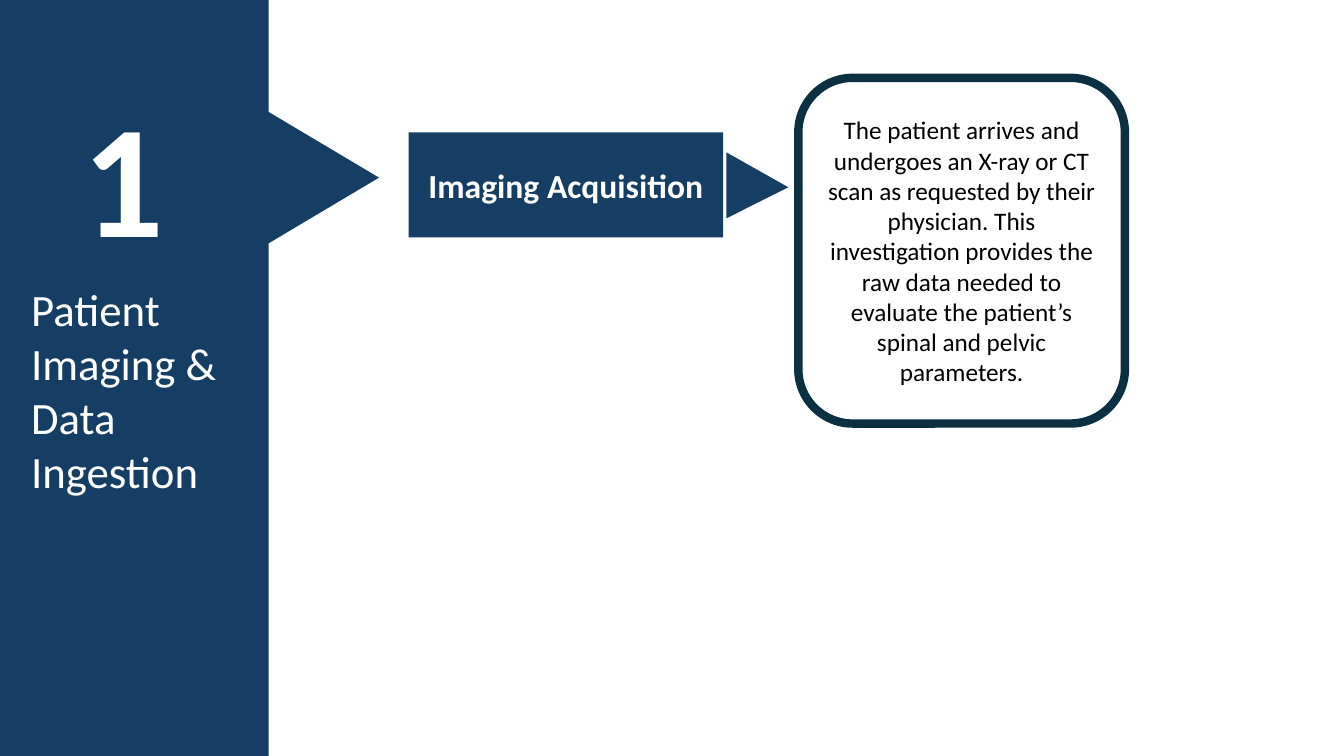
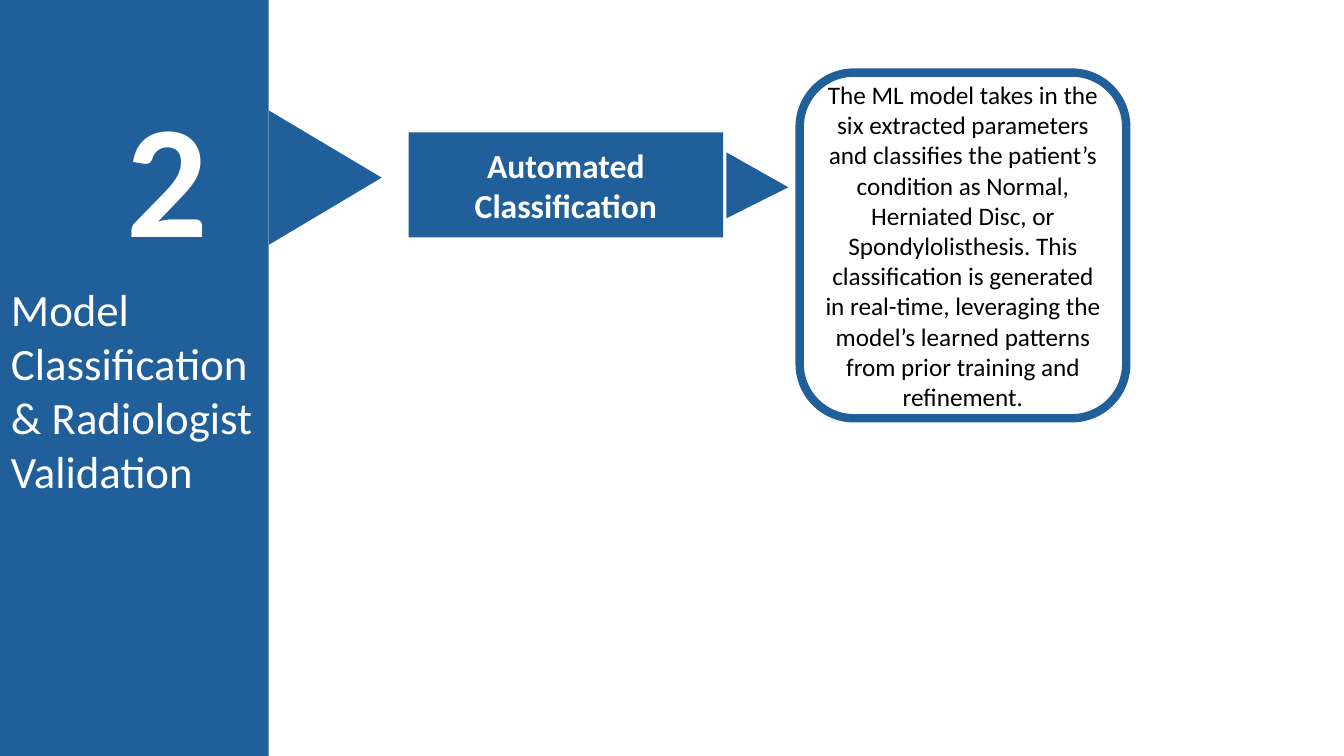
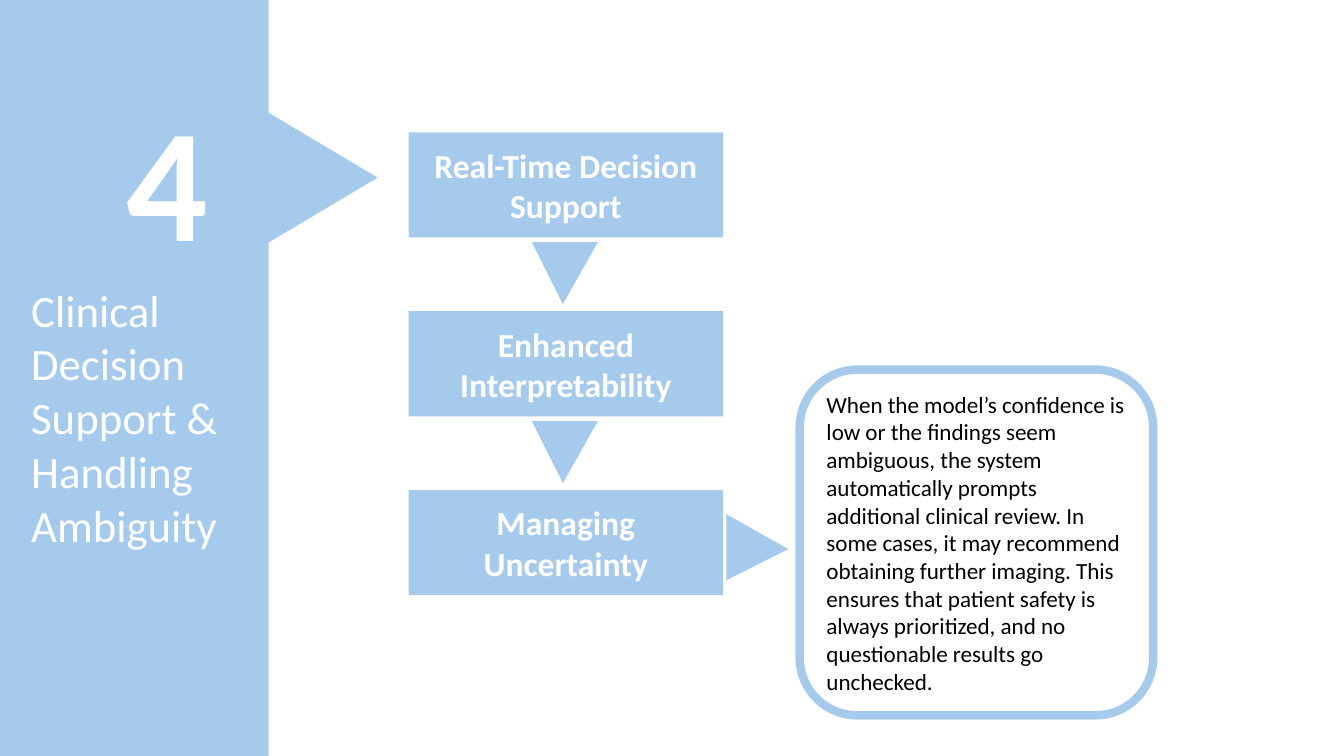
from typing import NamedTuple

from pptx import Presentation
from pptx.dml.color import RGBColor
from pptx.enum.shapes import MSO_SHAPE
from pptx.enum.text import MSO_ANCHOR, MSO_AUTO_SIZE, PP_ALIGN
from pptx.util import Inches, Pt

RECTANGLE = MSO_SHAPE.RECTANGLE
ROUNDED = MSO_SHAPE.ROUNDED_RECTANGLE
TRIANGLE = MSO_SHAPE.ISOSCELES_TRIANGLE
MIDDLE = MSO_ANCHOR.MIDDLE
GROW = MSO_AUTO_SIZE.SHAPE_TO_FIT_TEXT
LEFT, CENTER = PP_ALIGN.LEFT, PP_ALIGN.CENTER

FONT = "Calibri"
COLORS = {
    "navy": "163E64",
    "ink": "0B3041",
    "blue": "215F9A",
    "sky": "A6CAEC",
    "white": "FFFFFF",
    "black": "000000",
}
POINT_RIGHT, POINT_DOWN = 90, 180
POINTER_APEX = 0.53
STEP_PITCH = 23.67


class Box(NamedTuple):
    left: float
    top: float
    width: float
    height: float


def within(box, x, y, width=0, height=0):
    return Box(
        box.left + box.width * x / 100,
        box.top + box.height * y / 100,
        box.width * width / 100,
        box.height * height / 100,
    )


def emu(box):
    return [round(length) for length in box]


PAGE = Box(0, 0, Inches(13.33), Inches(7.5))

STAGES = [
    {
        "number": "1", "number_at": (27, 9.5),
        "title": "Patient Imaging & Data Ingestion", "title_at": (7.9, 84, 30.1),
        "color": "navy", "tip": 120,
        "steps": ["Imaging Acquisition"], "pointer_y": 50.5,
        "note": "The patient arrives and undergoes an X-ray or CT scan as requested by "
                "their physician. This investigation provides the raw data needed to "
                "evaluate the patient’s spinal and pelvic parameters.",
        "note_at": (59.4, 10.3, 24.3), "note_line": "ink",
        "note_size": 18, "note_align": CENTER,
    },
    {
        "number": "2", "number_at": (43.5, 9.5),
        "title": "Model Classification & Radiologist Validation",
        "title_at": (0.4, 100.5, 30.1),
        "color": "blue", "tip": 121,
        "steps": ["Automated Classification"], "pointer_y": 50.5,
        "note": "The ML model takes in the six extracted parameters and classifies the "
                "patient’s condition as Normal, Herniated Disc, or Spondylolisthesis. "
                "This classification is generated in real-time, leveraging the model’s "
                "learned patterns from prior training and refinement.",
        "note_at": (59.5, 9.6, 24.3), "note_line": "blue",
        "note_size": 18, "note_align": CENTER,
    },
    {
        "number": "4", "number_at": (43.5, 10),
        "title": "Clinical Decision Support & Handling Ambiguity",
        "title_at": (7.9, 84.4, 37.2),
        "color": "sky", "tip": 119.5,
        "steps": ["Real-Time Decision Support", "Enhanced Interpretability",
                  "Managing Uncertainty"],
        "pointer_y": 54.3,
        "note": "When the model’s confidence is low or the findings seem ambiguous, the "
                "system automatically prompts additional clinical review. In some cases, "
                "it may recommend obtaining further imaging. This ensures that patient "
                "safety is always prioritized, and no questionable results go unchecked.",
        "note_at": (59.5, 48.9, 26.3), "note_line": "sky",
        "note_size": 16.5, "note_align": LEFT,
    },
]


def rgb(color):
    return RGBColor.from_string(COLORS[color])


def write(frame, text, size, color="white", bold=False, align=LEFT):
    frame.word_wrap = True
    frame.text = text
    paragraph = frame.paragraphs[0]
    paragraph.alignment = align
    font = paragraph.runs[0].font
    font.name, font.size, font.bold = FONT, Pt(size), bold
    font.color.rgb = rgb(color)


def panel(shapes, kind, box, fill, line=None):
    shape = shapes.add_shape(kind, *emu(box))
    shape.shadow.inherit = False
    shape.fill.solid()
    shape.fill.fore_color.rgb = rgb(fill)
    if line:
        shape.line.color.rgb = rgb(line)
        shape.line.width = Pt(6)
    else:
        shape.line.fill.background()
    shape.text_frame.vertical_anchor = MIDDLE
    return shape


def triangle(shapes, center, base, depth, rotation, fill, apex=0.5):
    box = Box(center.left - base / 2, center.top - depth / 2, base, depth)
    shape = panel(shapes, TRIANGLE, box, fill)
    shape.rotation = rotation
    shape.adjustments[0] = apex


def label(shapes, box, text, size, bold=False):
    frame = shapes.add_textbox(*emu(box)).text_frame
    write(frame, text, size, bold=bold)
    frame.auto_size = GROW


def stage_band(slide, box, stage):
    shapes = slide.shapes.add_group_shape().shapes
    panel(shapes, RECTANGLE, box, stage["color"])
    triangle(shapes, within(box, stage["tip"], 23.5),
             box.width * 0.5, box.width * 0.42, POINT_RIGHT, stage["color"])
    title_x, title_width, title_height = stage["title_at"]
    label(shapes, within(box, title_x, 36.67, title_width, title_height), stage["title"], 32)
    label(shapes, within(box, *stage["number_at"], 37.5, 27.2), stage["number"], 115, True)


def step(shapes, box, text, color, rotation, pointer_x, pointer_y):
    write(panel(shapes, RECTANGLE, box, color).text_frame, text, 24, bold=True, align=CENTER)
    triangle(shapes, within(box, pointer_x, pointer_y), box.width * 0.21,
             box.height * 0.59, rotation, color, POINTER_APEX)


def step_column(slide, box, stage):
    *earlier, explained = stage["steps"]
    for row, text in enumerate(earlier):
        step(slide.shapes, within(box, 0, row * STEP_PITCH, 100, 13.9), text,
             stage["color"], POINT_DOWN, 49.7, 134)
    step(slide.shapes.add_group_shape().shapes,
         within(box, 0, len(earlier) * STEP_PITCH, 100, 13.9), explained,
         stage["color"], POINT_RIGHT, 110.9, stage["pointer_y"])


def note(slide, box, stage):
    card = panel(slide.shapes, ROUNDED, box, "white", stage["note_line"])
    write(card.text_frame, stage["note"], stage["note_size"], "black",
          align=stage["note_align"])


def main():
    deck = Presentation()
    deck.slide_width, deck.slide_height = emu(PAGE)[2:]
    blank = deck.slide_layouts[6]
    for stage in STAGES:
        slide = deck.slides.add_slide(blank)
        stage_band(slide, within(PAGE, 0, 0, 20, 100), stage)
        step_column(slide, within(PAGE, 30.4, 17.5, 23.4, 100), stage)
        note(slide, within(PAGE, *stage["note_at"], 45.73), stage)
    deck.save("out.pptx")


if __name__ == "__main__":
    main()
